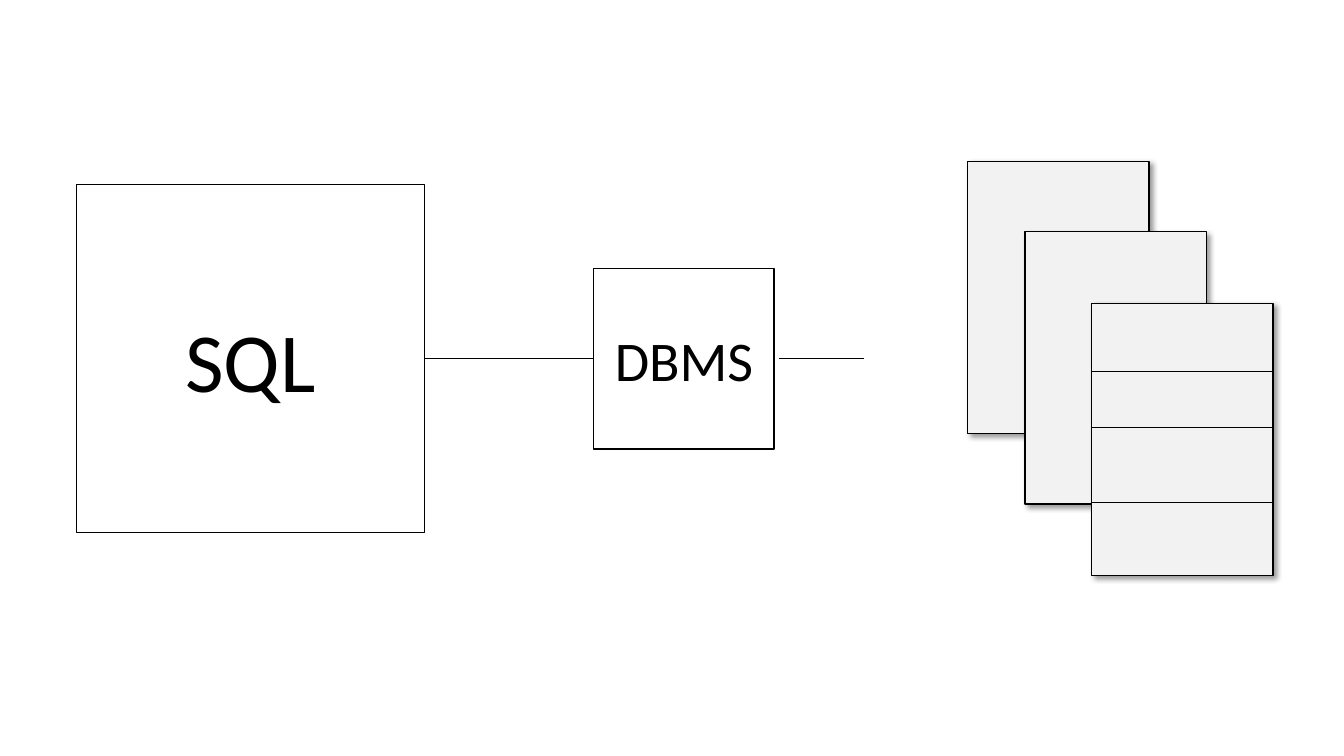
from dataclasses import dataclass

from lxml import etree
from pptx import Presentation
from pptx.dml.color import RGBColor
from pptx.enum import shapes, text
from pptx.oxml.ns import qn
from pptx.util import Pt


@dataclass(frozen=True)
class Theme:
    font: str = "Calibri"
    ink: str = "000000"
    paper: str = "FFFFFF"
    sheet: str = "F2F2F2"
    outline: float = 1
    thin: float = 0.5


THEME = Theme()
MIDLINE = 256.3

# label, left, side, type size, fill, line width
STAGES = [
    ("SQL", 54.7, 248.4, 60, None, 0.75),
    ("DBMS", 424.1, 128.9, 40, THEME.paper, THEME.outline),
]
OUTPUT_LINE = (556.6, 617)
TABLE_SIZE = (129.6, 194.4)
TABLE_CORNERS = [(691.2, 115.2), (732.2, 165.6), (779.8, 216.7)]
ROW_LINES = [265, 305.3, 358.6]


def add_box(slide, left, top, width, height, fill, line_width):
    box = slide.shapes.add_shape(
        shapes.MSO_SHAPE.RECTANGLE, Pt(left), Pt(top), Pt(width), Pt(height))
    box.shadow.inherit = False
    if fill:
        box.fill.solid()
        box.fill.fore_color.rgb = RGBColor.from_string(fill)
    else:
        box.fill.background()
    box.line.color.rgb = RGBColor.from_string(THEME.ink)
    box.line.width = Pt(line_width)
    return box


def add_stage(slide, label, left, side, size, fill, line_width):
    box = add_box(slide, left, MIDLINE - side / 2, side, side, fill, line_width)
    frame = box.text_frame
    frame.word_wrap = False
    frame.vertical_anchor = text.MSO_ANCHOR.MIDDLE
    paragraph = frame.paragraphs[0]
    paragraph.alignment = text.PP_ALIGN.CENTER
    run = paragraph.add_run()
    run.text = label
    run.font.name = THEME.font
    run.font.size = Pt(size)
    run.font.color.rgb = RGBColor.from_string(THEME.ink)
    return box


def add_soft_shadow(box):
    """Cast a translucent shadow down and to the right."""
    effects = box._element.spPr.find(qn("a:effectLst"))
    shadow = etree.SubElement(
        effects, qn("a:outerShdw"), blurRad=str(Pt(4)), dist=str(Pt(3)),
        dir=str(45 * 60000), algn="tl", rotWithShape="0")
    color = etree.SubElement(shadow, qn("a:srgbClr"), val=THEME.ink)
    etree.SubElement(color, qn("a:alpha"), val="40000")


def add_rule(slide, start, end, y):
    rule = slide.shapes.add_connector(
        shapes.MSO_CONNECTOR.STRAIGHT, Pt(start), Pt(y), Pt(end), Pt(y))
    rule.line.color.rgb = RGBColor.from_string(THEME.ink)
    rule.line.width = Pt(THEME.thin)
    etree.SubElement(rule._element.spPr, qn("a:effectLst"))
    return rule


def main():
    deck = Presentation()
    deck.slide_width, deck.slide_height = Pt(960), Pt(540)
    slide = deck.slides.add_slide(deck.slide_layouts[6])

    sql, dbms = [add_stage(slide, *stage) for stage in STAGES]
    query = add_rule(slide, sql.left.pt + sql.width.pt, dbms.left.pt, MIDLINE)
    query.begin_connect(sql, 3)
    query.end_connect(dbms, 1)
    add_rule(slide, *OUTPUT_LINE, MIDLINE)

    for corner in TABLE_CORNERS:
        table = add_box(slide, *corner, *TABLE_SIZE, THEME.sheet, THEME.outline)
        add_soft_shadow(table)

    front_left = TABLE_CORNERS[-1][0]
    for y in ROW_LINES:
        add_rule(slide, front_left, front_left + TABLE_SIZE[0], y)

    deck.save("out.pptx")


if __name__ == "__main__":
    main()
